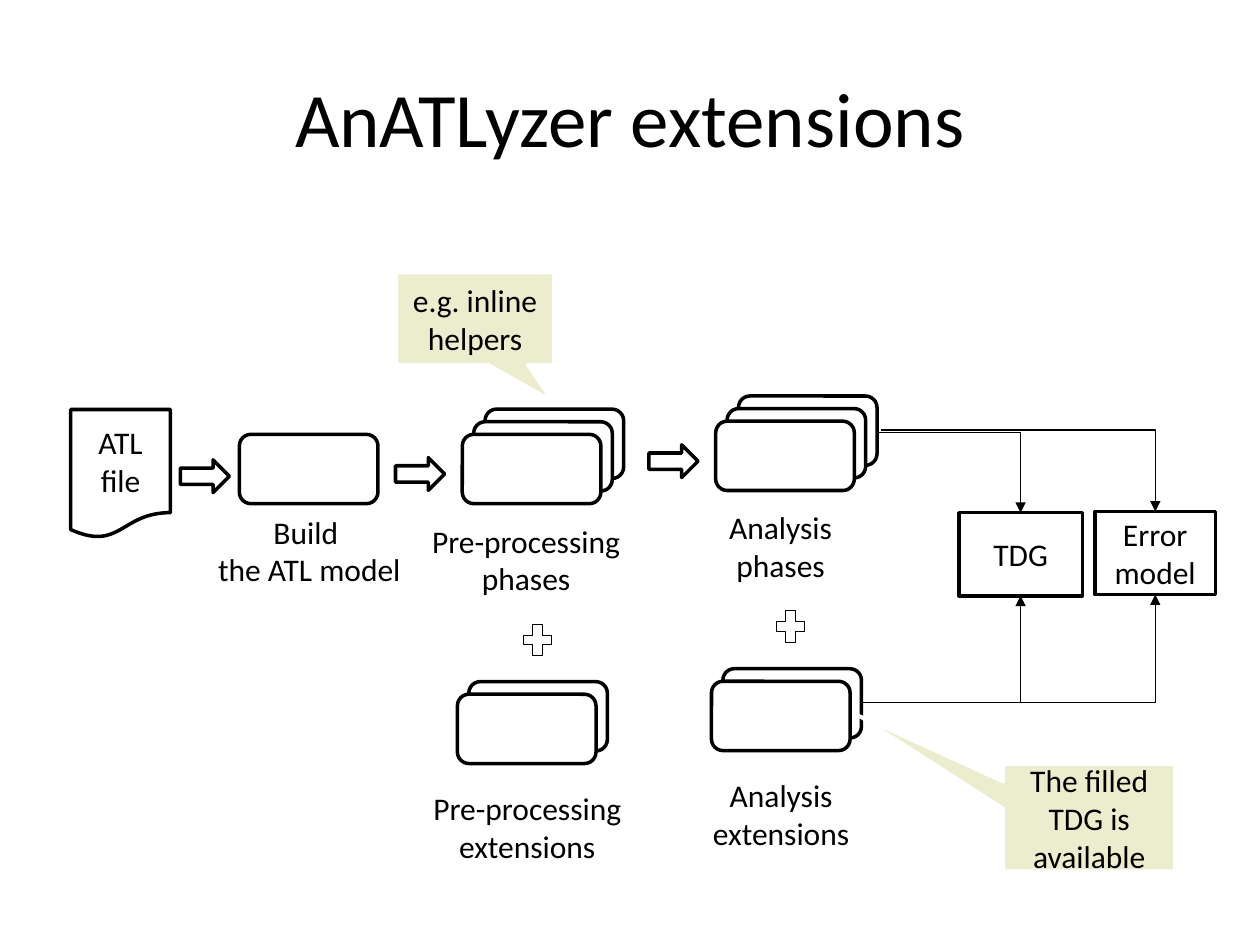
import pptx
import pptx.dml.color
import pptx.enum.shapes
import pptx.enum.text
import pptx.util
from lxml import etree
from pptx.oxml.ns import qn

Pt = pptx.util.Pt
RGBColor = pptx.dml.color.RGBColor
SHAPE = pptx.enum.shapes.MSO_SHAPE
ALIGN = pptx.enum.text.PP_ALIGN
ANCHOR = pptx.enum.text.MSO_ANCHOR

BLACK = RGBColor(0x00, 0x00, 0x00)
WHITE = RGBColor(0xFF, 0xFF, 0xFF)
NOTE_FILL = RGBColor(0xEC, 0xED, 0xCF)


class Diagram:
    font = "Calibri"
    text_size = 18
    outline = 2
    phase_width, phase_height = 79.2, 39.6
    stack_dx, stack_dy = 6.5, 7.2

    def __init__(self, slide):
        self.slide = slide

    def set_text(self, shape, text, size=text_size):
        frame = shape.text_frame
        frame.text = text
        for paragraph in frame.paragraphs:
            paragraph.alignment = ALIGN.CENTER
            paragraph.font.name = self.font
            paragraph.font.size = Pt(size)
            paragraph.font.color.rgb = BLACK

    def title(self, text, left, top, width, height):
        title = self.slide.shapes.title
        title.left, title.top = Pt(left), Pt(top)
        title.width, title.height = Pt(width), Pt(height)
        title.text_frame.vertical_anchor = ANCHOR.MIDDLE
        self.set_text(title, text, 44)

    def box(self, kind, left, top, width, height, text="",
            fill=WHITE, line=BLACK, weight=outline):
        shape = self.slide.shapes.add_shape(
            kind, Pt(left), Pt(top), Pt(width), Pt(height))
        shape.shadow.inherit = False
        shape.fill.solid()
        shape.fill.fore_color.rgb = fill
        shape.line.color.rgb = line
        shape.line.width = Pt(weight)
        if text:
            shape.text_frame.word_wrap = True
            shape.text_frame.vertical_anchor = ANCHOR.MIDDLE
            self.set_text(shape, text)
        return shape

    def phases(self, left, top, count=1):
        """Stack count boxes; left and top place the front one."""
        for depth in reversed(range(count)):
            self.box(SHAPE.FLOWCHART_ALTERNATE_PROCESS,
                     left + depth * self.stack_dx, top - depth * self.stack_dy,
                     self.phase_width, self.phase_height)

    def arrow(self, left, top):
        self.box(SHAPE.RIGHT_ARROW, left, top, 28.1, 18.7)

    def plus(self, left, top):
        self.box(SHAPE.MATH_PLUS, left, top, 22.3, 24.5, weight=0.5)

    def callout(self, text, left, top, width, height, tip):
        """Tip is the pointer's offset from the centre, as shares of the size."""
        shape = self.box(SHAPE.RECTANGULAR_CALLOUT, left, top, width, height,
                         text, fill=NOTE_FILL, line=WHITE)
        for index, share in enumerate(tip):
            shape.adjustments[index] = share

    def label(self, text, center, top, width):
        label = self.slide.shapes.add_textbox(
            Pt(center - width / 2), Pt(top), Pt(width), Pt(51))
        label.text_frame.word_wrap = False
        label.text_frame.auto_size = pptx.enum.text.MSO_AUTO_SIZE.SHAPE_TO_FIT_TEXT
        self.set_text(label, text)

    def elbow(self, start, end):
        """Run sideways from start, then turn once towards end."""
        connector = self.slide.shapes.add_connector(
            pptx.enum.shapes.MSO_CONNECTOR.ELBOW,
            *(Pt(value) for value in (*start, *end)))
        connector.line.color.rgb = BLACK
        connector.line.width = Pt(0.75)
        properties = connector._element.spPr
        properties.find(qn("a:prstGeom")).set("prst", "bentConnector2")
        line = properties.find(qn("a:ln"))
        etree.SubElement(line, qn("a:tailEnd"), type="triangle")
        etree.SubElement(properties, qn("a:effectLst"))


def main():
    presentation = pptx.Presentation()
    presentation.slide_width, presentation.slide_height = Pt(720), Pt(540)
    diagram = Diagram(presentation.slides.add_slide(presentation.slide_layouts[5]))
    diagram.title("AnATLyzer extensions", 36, 21.6, 648, 90)

    diagram.box(SHAPE.FLOWCHART_DOCUMENT, 40.4, 234, 57, 73.5, "ATL\nfile")

    for left, top, count in (
        (136.8, 248.2, 1),
        (264.2, 248.2, 3),
        (261.4, 396.7, 2),
        (409, 240.7, 3),
        (406.6, 389.3, 2),
    ):
        diagram.phases(left, top, count)

    for left, top in ((103, 262.8), (226, 261.5), (370.8, 254.2)):
        diagram.arrow(left, top)

    for left, top in ((296, 353.5), (440.6, 345.8)):
        diagram.plus(left, top)

    for text, center, top, width in (
        ("Build \nthe ATL model", 176.8, 289.4, 120),
        ("Pre-processing\nphases", 300.6, 294.5, 123),
        ("Pre-processing\nextensions", 301.3, 447.5, 123),
        ("Analysis\nphases", 446, 286.8, 74),
        ("Analysis\nextensions", 446.4, 440, 94),
    ):
        diagram.label(text, center, top, width)

    diagram.box(SHAPE.FLOWCHART_PROCESS, 547.9, 293, 70.6, 47.5, "TDG")
    diagram.box(SHAPE.FLOWCHART_PROCESS, 625.7, 292.3, 68.8, 47.5, "Error model")

    diagram.callout("e.g. inline helpers", 226.5, 155.8, 90, 52.6, (0.49, 0.895))
    diagram.callout("The filled TDG is available", 573.4, 436.6, 98, 61.2,
                    (-1.344, -0.952))

    tdg_x, error_x = 583.2, 660.2
    extensions_exit = (492.5, 401.5)
    diagram.elbow((501.8, 247), (tdg_x, 293))
    diagram.elbow((503.3, 245.7), (error_x, 292.3))
    diagram.elbow(extensions_exit, (error_x, 339.8))
    diagram.elbow(extensions_exit, (tdg_x, 340.5))

    presentation.save("out.pptx")


if __name__ == "__main__":
    main()
